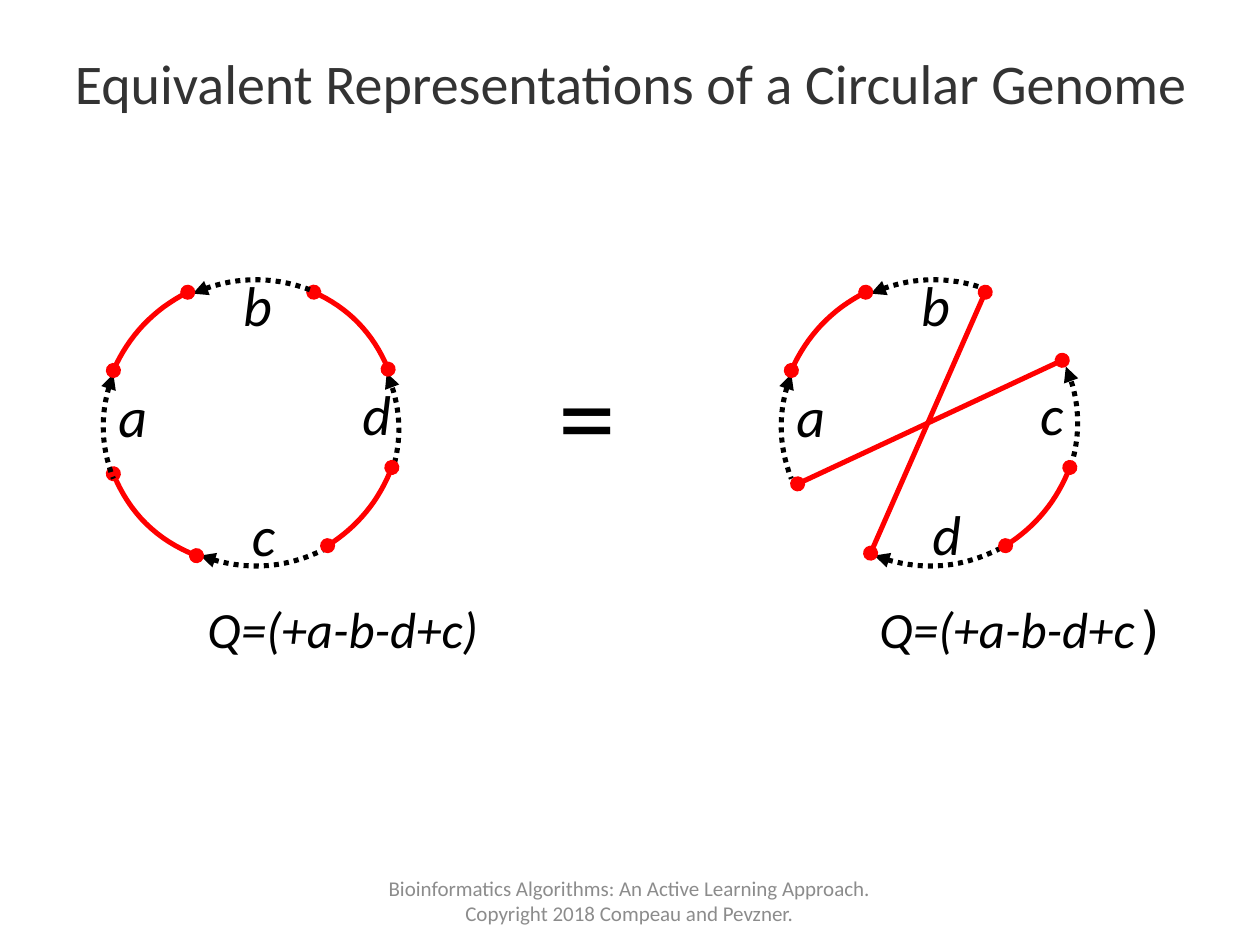
from lxml.etree import SubElement as Sub
from pptx import Presentation
from pptx.dml.color import RGBColor as RGB
from pptx.enum.dml import MSO_LINE as Dash
from pptx.enum.shapes import MSO_CONNECTOR as Conn
from pptx.enum.text import MSO_ANCHOR as Anchor, PP_ALIGN as Align
from pptx.oxml.ns import qn
from pptx.util import Pt

HUES = {"ink": "000000", "red": "FF0000", "title": "333333", "foot": "8C8C8C"}

deck = Presentation()
deck.slide_width, deck.slide_height = Pt(720), Pt(540)
slide = deck.slides.add_slide(deck.slide_layouts[6])
shapes = slide.shapes


def text(runs, box, size=32, hue="ink", font="Calibri", ital=False, space=None,
         align=Align.LEFT, anchor=Anchor.TOP, wrap=True, pad=(0, 0), tabs=()):
    frame = shapes.add_textbox(*map(Pt, box)).text_frame
    frame.word_wrap = wrap
    frame.vertical_anchor = anchor
    frame.margin_left = frame.margin_right = Pt(pad[0])
    frame.margin_top = frame.margin_bottom = Pt(pad[1])
    para = frame.paragraphs[0]
    para.alignment = align
    if space:
        para.line_spacing = space
    if tabs:
        stops = Sub(para._p.get_or_add_pPr(), qn("a:tabLst"))
        for stop in tabs:
            Sub(stops, qn("a:tab"), pos=str(Pt(stop)), algn="l")
    for part, face, slant in [(runs, font, ital)] if isinstance(runs, str) else runs:
        run = para.add_run()
        run.text = part
        run.font.name, run.font.size, run.font.italic = face, Pt(size), slant
        run.font.color.rgb = RGB.from_string(HUES[hue])


def stroke(shape, hue, head=None, tail=None, dash=None):
    line = shape.line
    line.color.rgb = RGB.from_string(HUES[hue])
    line.width = Pt(2.89)
    if dash:
        line.dash_style = dash
    props = shape._element.spPr
    edge = props.find(qn("a:ln"))
    for tag, kind in (("a:headEnd", head), ("a:tailEnd", tail)):
        if kind:
            Sub(edge, qn(tag), type=kind)
    Sub(props, qn("a:effectLst"))


SHIFT = 387.4
RED = {"hue": "red", "head": "oval", "tail": "oval"}
TO = {"hue": "ink", "tail": "triangle", "dash": Dash.ROUND_DOT}
FROM = {"hue": "ink", "head": "triangle", "dash": Dash.ROUND_DOT}

arcs = [
    (114.5, 317.5, 190.8, 311, 9, FROM),
    (499.7, 317.5, 576, 311, 9, FROM),
    (223.9, 270, 221, 213.1, 5.4, TO),
    (612, 266.4, 609.1, 209.5, 5.2, TO),
    (221.8, 211, 179.3, 167, 6.1, RED),
    (64.8, 270.7, 112.3, 317.5, 7.2, RED),
]
for dx in (0, SHIFT):
    arcs += [
        (64.8 + dx, 213.8, 64.8 + dx, 273.6, 5.8, FROM),
        (177.1 + dx, 165.6, 110.2 + dx, 167.8, 6.8, TO),
        (107.3 + dx, 167, 64.8 + dx, 211.7, 5.5, RED),
        (187.2 + dx, 311.8, 223.9 + dx, 267.1, 4.8, RED),
    ]

STEPS = 16
for x1, y1, x2, y2, bulge, look in arcs:
    wide, high = x2 - x1, y2 - y1
    span = (wide ** 2 + high ** 2) ** 0.5
    dots = []
    for i in range(STEPS + 1):
        t = i / STEPS
        rise = 4 * bulge * t * (1 - t) / span
        dots.append((Pt(x1 + wide * t - high * rise), Pt(y1 + high * t + wide * rise)))
    path = shapes.build_freeform(*dots[0])
    path.add_line_segments(dots[1:], close=False)
    arc = path.convert_to_shape()
    arc.fill.background()
    stroke(arc, **look)

for ends in ((563, 167, 497.5, 316.1), (607, 205.9, 455.8, 276.5)):
    stroke(shapes.add_connector(Conn.STRAIGHT, *map(Pt, ends)), **RED)

for dx, right, low, drop in ((0, "d", "c", 298.8), (SHIFT, "c", "d", 298.1)):
    for name, x, y, w, h in (
        ("a", 67.7, 230.4, 24.5, 46),
        ("b", 139, 167, 20, 39.6),
        (right, 207, 229.7, 13, 28.8),
        (low, 144 if low == "c" else 145.4, drop, 12.2, 34.6),
    ):
        text(name, (x + dx, y, w, h), ital=True, space=0.63, wrap=name == low)

text("Equivalent Representations of a Circular Genome", (1.4, 1.4, 718.6, 90),
     hue="title", space=1.02, align=Align.CENTER, anchor=Anchor.MIDDLE)
text([("\tQ=(+a-b-d+c)\tQ=(+a-b-d+c", "Calibri", True), (")", "DejaVu Sans Mono", False)],
     (31, 352.8, 653, 54), size=29, space=0.64, tabs=(87.5, 471.5))
text("=", (311.8, 192.2, 95.8, 87.1), size=66, pad=(7.2, 3.6))
text("Bioinformatics Algorithms: An Active Learning Approach. Copyright 2018 Compeau and Pevzner.",
     (203.8, 500.4, 311.8, 28.8), size=12, hue="foot", align=Align.CENTER,
     anchor=Anchor.MIDDLE, pad=(7.2, 3.6))

deck.save("out.pptx")
